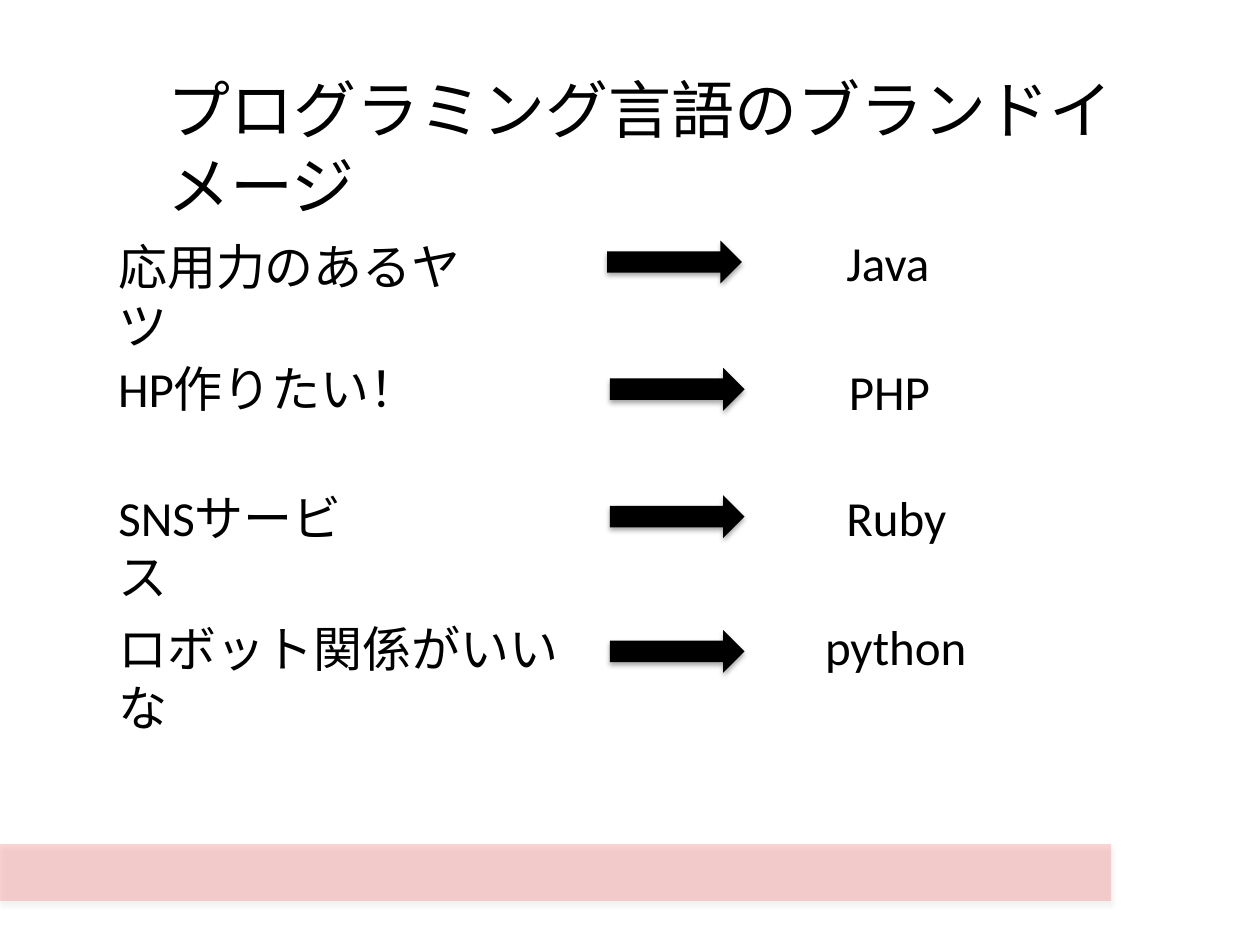
from lxml import etree
from pptx import Presentation
from pptx.dml.color import RGBColor
from pptx.enum import shapes, text
from pptx.oxml import ns
from pptx.util import Pt

THEME = {
    "font": "Calibri",
    "ink": "000000",
    "band": "FF0000",
    "band_opacity": 16,
    "shadow_opacity": 35,
    "title_size": 36,
    "body_size": 28,
}

TITLE = ("プログラミング言語のブランドイメージ", (88.5, 36.7, 583.2, 51))
BAND = (0, 482.4, 635, 32.4)
LABEL_LEFT, LINE_HEIGHT = 60.5, 41
ARROW_SIZE = (77, 24.5)

# label, its width and top; arrow left and top; language, its left, top and width
ROWS = [
    (("応用力のあるヤツ", 230.4, 131.8), (347, 137.5), ("Java", 476.6, 129.6, 62.6)),
    (("HP作りたい！", 177, 201.6), (348.5, 210.2), ("PHP", 478, 203, 61.2)),
    (("SNSサービス", 164.2, 275), (348.5, 283), ("Ruby", 476.6, 275, 72.7)),
    (("ロボット関係がいいな", 268.6, 350), (348.5, 360), ("python", 464.4, 348.5, 96.5)),
]


def add_alpha(color, percent):
    alpha = etree.SubElement(color, ns.qn("a:alpha"))
    alpha.set("val", str(percent * 1000))


def add_shadow(shape):
    """Give the shape a soft black shadow that falls straight down."""
    shape.shadow.inherit = False
    effects = shape.element.spPr.find(ns.qn("a:effectLst"))
    shadow = etree.SubElement(effects, ns.qn("a:outerShdw"))
    values = {"blurRad": Pt(3.1), "dist": Pt(1.8), "dir": 90 * 60000, "rotWithShape": 0}
    for name, value in values.items():
        shadow.set(name, str(int(value)))
    color = etree.SubElement(shadow, ns.qn("a:srgbClr"))
    color.set("val", THEME["ink"])
    add_alpha(color, THEME["shadow_opacity"])


def add_solid(slide, kind, frame, color, opacity=100):
    shape = slide.shapes.add_shape(kind, *map(Pt, frame))
    shape.fill.solid()
    shape.fill.fore_color.rgb = RGBColor.from_string(color)
    if opacity < 100:
        fill = shape.element.spPr.find(ns.qn("a:solidFill"))
        add_alpha(fill[0], opacity)
    shape.line.fill.background()
    add_shadow(shape)


def add_text(slide, words, frame, size, wrap=True):
    box = slide.shapes.add_textbox(*map(Pt, frame))
    box.text_frame.word_wrap = wrap
    box.text_frame.auto_size = text.MSO_AUTO_SIZE.NONE
    span = box.text_frame.paragraphs[0].add_run()
    span.text = words
    span.font.name = THEME["font"]
    span.font.size = Pt(size)
    span.font.color.rgb = RGBColor.from_string(THEME["ink"])


def main():
    deck = Presentation()
    deck.slide_width, deck.slide_height = Pt(720), Pt(540)
    slide = deck.slides.add_slide(deck.slide_layouts[6])

    add_solid(slide, shapes.MSO_SHAPE.RECTANGLE, BAND, THEME["band"], THEME["band_opacity"])
    add_text(slide, *TITLE, THEME["title_size"])
    for (label, width, top), arrow, (language, left, language_top, language_width) in ROWS:
        add_text(slide, label, (LABEL_LEFT, top, width, LINE_HEIGHT), THEME["body_size"])
        add_solid(slide, shapes.MSO_SHAPE.RIGHT_ARROW, arrow + ARROW_SIZE, THEME["ink"])
        language_frame = (left, language_top, language_width, LINE_HEIGHT)
        add_text(slide, language, language_frame, THEME["body_size"], wrap=False)

    deck.save("out.pptx")


if __name__ == "__main__":
    main()
